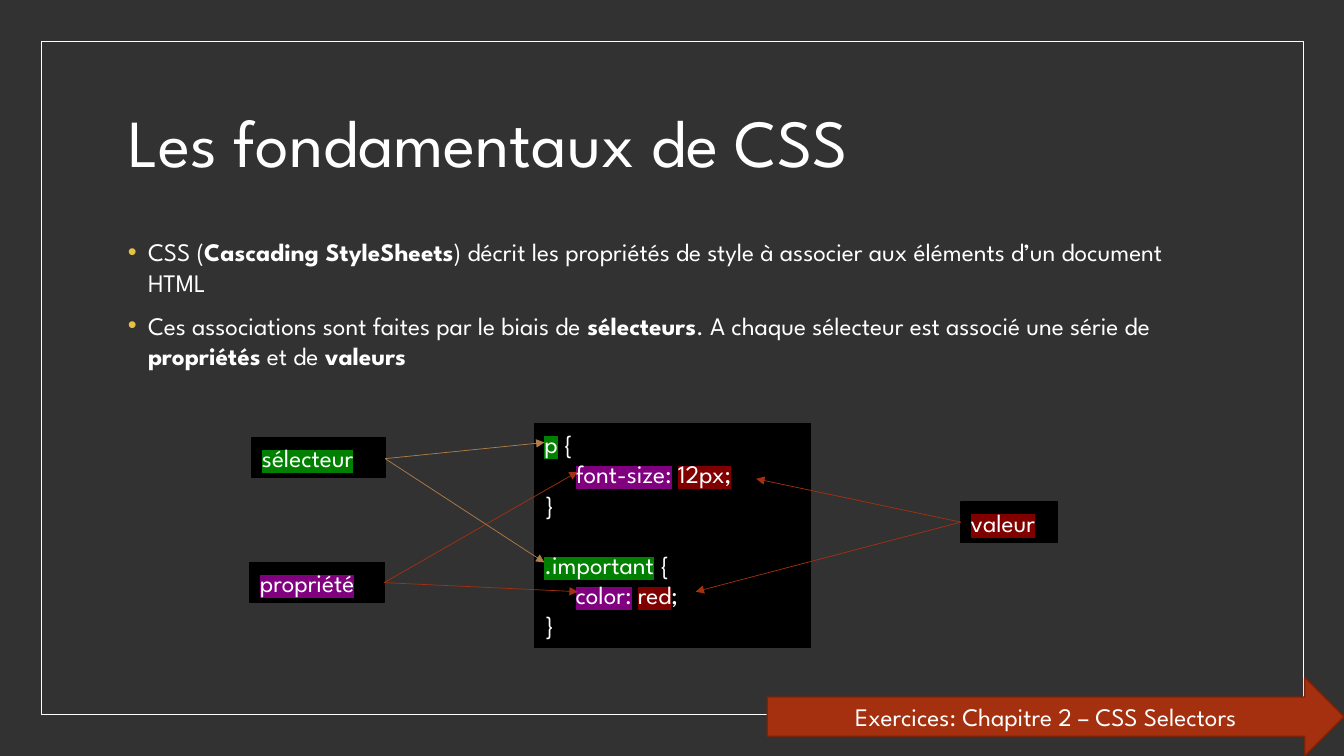
"""Build the slide on the basics of CSS."""
from dataclasses import dataclass
from typing import NamedTuple

from pptx import Presentation
from pptx.dml.color import RGBColor as Rgb
from pptx.enum.shapes import MSO_CONNECTOR as Link, MSO_SHAPE as Form
from pptx.enum.text import MSO_ANCHOR as Anchor, MSO_AUTO_SIZE as Fit, PP_ALIGN as Align
from pptx.oxml.ns import qn
from pptx.shapes.autoshape import Shape
from pptx.slide import Slide
from pptx.text.text import TextFrame
from pptx.util import Inches, Pt
from lxml.etree import SubElement as Sub


@dataclass(frozen=True)
class Theme:
    back: str = "323232"
    ink: str = "FFFFFF"
    code: str = "000000"
    dot: str = "E5C243"
    gold: str = "B27D49"
    rust: str = "A5300F"
    edge: str = "7A240B"
    green: str = "008000"
    violet: str = "800080"
    red: str = "800000"
    font: str = "League Spartan"
    head: float = 48
    body: float = 18
    line: float = 21.6
    gap: float = 9
    thin: float = 0.5


class Run(NamedTuple):
    text: str
    bold: bool = False
    mark: str = ""


class Para(NamedTuple):
    runs: tuple[Run, ...]
    left: float = 0
    before: float = 0


class Spot(NamedTuple):
    col: float
    row: float


class Area(NamedTuple):
    col: float
    row: float
    wide: float
    high: float


class Label(NamedTuple):
    text: str
    mark: str
    area: Area
    port: Spot
    hue: str
    ends: tuple[Spot, ...]


T = Theme()
WIDE, HIGH = 13.33, 7.5
CELL = 0.1

POINTS = (
    Para((Run("CSS ("), Run("Cascading StyleSheets", True),
          Run(") décrit les propriétés de style à associer aux éléments d’un document HTML")),
         2, T.gap),
    Para((Run("Ces associations sont faites par le biais de "), Run("sélecteurs", True),
          Run(". A chaque sélecteur est associé une série de "), Run("propriétés", True),
          Run(" et de "), Run("valeurs", True)), 2, T.gap),
)
CODE = (
    Para((Run("p", mark=T.green), Run(" {"))),
    Para((Run("font-size:", mark=T.violet), Run(" "), Run("12px;", mark=T.red)), 3.1),
    Para((Run("}"),)),
    Para((Run(".important", mark=T.green), Run(" {")), 0, T.line),
    Para((Run("color:", mark=T.violet), Run(" "), Run("red", mark=T.red), Run(";")), 3.1),
    Para((Run("}"),)),
)
LABELS = (
    Label("propriété", T.violet, Area(24.8, 55.8, 13.3, 4), Spot(38.1, 57.8), T.rust,
          (Spot(57.3, 46.8), Spot(57.3, 58.7))),
    Label("sélecteur", T.green, Area(25, 43.4, 13.2, 4), Spot(38.2, 45.5), T.gold,
          (Spot(54, 43.9), Spot(54, 55.8))),
    Label("valeur", T.red, Area(95.3, 49.8, 9.6, 4), Spot(95.3, 51.8), T.rust,
          (Spot(75, 47.5), Spot(69, 58.7))),
)


def span(cells: float) -> int:
    """Turn grid cells into a length."""
    return Inches(cells * CELL)


def place(shape: Shape, area: Area) -> None:
    """Move a shape to its grid area."""
    shape.left, shape.top, shape.width, shape.height = map(span, area)


def write(frame: TextFrame, paras: tuple[Para, ...], *, size: float = T.body,
          align: Align = Align.LEFT, anchor: Anchor = Anchor.TOP,
          pitch: float = 1.0, dots: bool = False) -> None:
    """Fill a frame with formatted paragraphs."""
    frame.word_wrap, frame.auto_size = True, Fit.NONE
    frame.vertical_anchor = anchor
    for i, para in enumerate(paras):
        item = frame.add_paragraph() if i else frame.paragraphs[0]
        item.alignment, item.line_spacing = align, pitch
        item.space_before = Pt(para.before)
        props = item._p.get_or_add_pPr()
        props.set("marL", str(span(para.left)))
        if dots:
            props.set("indent", str(-span(para.left)))
            Sub(Sub(props, qn("a:buClr")), qn("a:srgbClr"), val=T.dot)
            Sub(props, qn("a:buFont"), typeface="Arial")
            Sub(props, qn("a:buChar"), char="•")
        for part in para.runs:
            run = item.add_run()
            run.text = part.text
            font = run.font
            font.size, font.bold = Pt(size), part.bold
            font.color.rgb = Rgb.from_string(T.ink)
            if part.mark:
                glow = Sub(run._r.get_or_add_rPr(), qn("a:highlight"))
                Sub(glow, qn("a:srgbClr"), val=part.mark)
            font.name = T.font


def block(slide: Slide, area: Area, form: Form = Form.RECTANGLE, *,
          fill: str = "", line: str, width: float = 1) -> Shape:
    """Draw a flat shape with its outline."""
    shape = slide.shapes.add_shape(form, *map(span, area))
    shape.shadow.inherit = False
    if fill:
        shape.fill.solid()
        shape.fill.fore_color.rgb = Rgb.from_string(fill)
    else:
        shape.fill.background()
    shape.line.color.rgb = Rgb.from_string(line)
    shape.line.width = Pt(width)
    return shape


def arrow(slide: Slide, start: Spot, end: Spot, hue: str) -> None:
    """Draw a thin arrow between two spots."""
    link = slide.shapes.add_connector(Link.STRAIGHT, *map(span, start + end))
    link.line.color.rgb = Rgb.from_string(hue)
    link.line.width = Pt(T.thin)
    Sub(link.line._get_or_add_ln(), qn("a:tailEnd"), type="triangle")
    Sub(link._element.spPr, qn("a:effectLst"))


def main() -> None:
    """Lay out the slide and save it."""
    deck = Presentation()
    deck.slide_width, deck.slide_height = Inches(WIDE), Inches(HIGH)
    slide = deck.slides.add_slide(deck.slide_layouts[5])
    slide.background.fill.solid()
    slide.background.fill.fore_color.rgb = Rgb.from_string(T.back)
    block(slide, Area(4.1, 4.1, 125.2, 66.8), line=T.ink, width=T.thin)

    title = slide.shapes.title
    place(title, Area(11.7, 7, 110, 15))
    write(title.text_frame, (Para((Run("Les fondamentaux de CSS"),)),),
          size=T.head, anchor=Anchor.MIDDLE, pitch=0.9)
    body = slide.shapes.add_textbox(*map(span, Area(11.7, 23, 110, 43)))
    write(body.text_frame, POINTS, dots=True)

    code = block(slide, Area(53, 42, 27.4, 22.2), fill=T.code, line=T.code)
    write(code.text_frame, CODE)
    for tag in LABELS:
        box = block(slide, tag.area, fill=T.code, line=T.code)
        write(box.text_frame, (Para((Run(tag.text, mark=tag.mark),)),))
    for tag in LABELS:
        for end in tag.ends:
            arrow(slide, tag.port, end, tag.hue)

    call = block(slide, Area(76.1, 67.2, 57.2, 7.8), Form.RIGHT_ARROW,
                 fill=T.rust, line=T.edge)
    write(call.text_frame, (Para((Run("Exercices: Chapitre 2 – CSS Selectors"),)),),
          align=Align.CENTER, anchor=Anchor.MIDDLE)
    deck.save("out.pptx")


if __name__ == "__main__":
    main()
